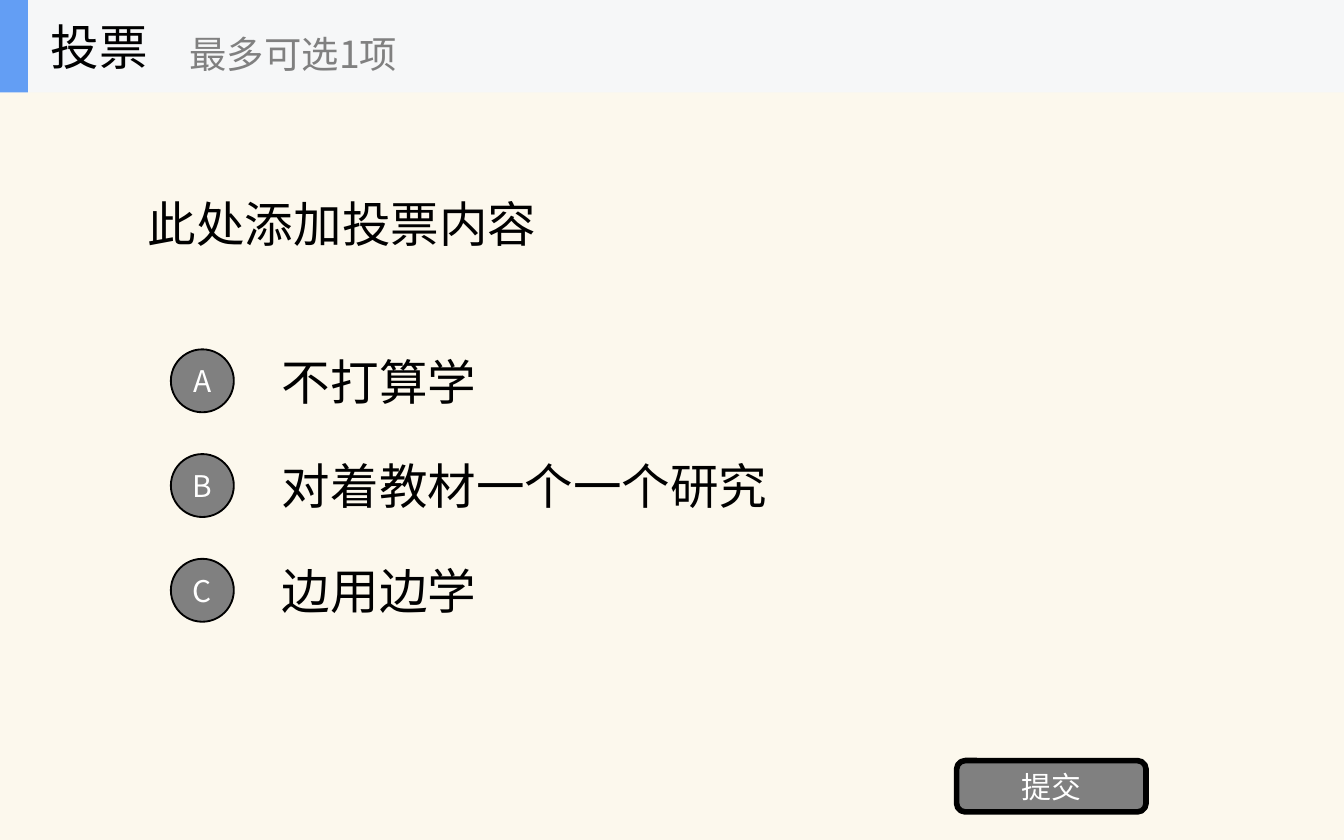
import pptx
import pptx.util
import pptx.dml.color
import pptx.enum.shapes
import pptx.enum.text
import pptx.oxml
import pptx.oxml.ns

Cm = pptx.util.Cm
Pt = pptx.util.Pt
SHAPES = pptx.enum.shapes.MSO_SHAPE
ALIGN = pptx.enum.text.PP_ALIGN

FONT = "Noto Sans CJK SC"
COLORS = {
    "page": "FCF8ED",
    "band": "F6F7F8",
    "accent": "639EF4",
    "control": "808080",
    "ink": "000000",
    "light": "FFFFFF",
}
OPTIONS = ["不打算学", "对着教材一个一个研究", "边用边学"]


def color(name):
    return pptx.dml.color.RGBColor.from_string(COLORS[name])


def write(holder, text, size, ink, align=ALIGN.LEFT):
    frame = holder.text_frame
    frame.word_wrap = True
    frame.auto_size = pptx.enum.text.MSO_AUTO_SIZE.NONE
    frame.vertical_anchor = pptx.enum.text.MSO_ANCHOR.MIDDLE
    paragraph = frame.paragraphs[0]
    paragraph.alignment = align
    run = paragraph.add_run()
    run.text = text
    run.font.size = Pt(size)
    run.font.color.rgb = color(ink)
    run.font.name = FONT
    # The East Asian typeface has no public property
    east_asian = pptx.oxml.parse_xml(
        f'<a:ea {pptx.oxml.ns.nsdecls("a")} typeface="{FONT}"/>')
    run.font._element.find(pptx.oxml.ns.qn("a:latin")).addnext(east_asian)


def add_label(shapes, box, text, size, ink="ink"):
    label = shapes.add_textbox(*map(Cm, box))
    write(label, text, size, ink)


def add_block(shapes, preset, box, fill, line_width=0):
    block = shapes.add_shape(preset, *map(Cm, box))
    block.shadow.inherit = False
    block.fill.solid()
    block.fill.fore_color.rgb = color(fill)
    if line_width:
        block.line.color.rgb = color("ink")
        block.line.width = Pt(line_width)
    else:
        block.line.fill.background()
    return block


def add_control(shapes, preset, box, text, line_width):
    """Grey clickable shape with centred light text."""
    control = add_block(shapes, preset, box, "control", line_width)
    frame = control.text_frame
    frame.margin_left = frame.margin_right = 0
    frame.margin_top = frame.margin_bottom = 0
    write(control, text, 16, "light", ALIGN.CENTER)


def place_question(slide, box):
    question = slide.shapes.title
    question.left, question.top, question.width, question.height = map(Cm, box)
    write(question, "此处添加投票内容", 26, "ink")


def add_options(shapes, box):
    """Rows of a lettered circle and its answer, spread evenly over the box."""
    left, top, width, height = box
    row_height, circle, indent = 1.5, 1.19, 1.85
    pitch = (height - row_height) / (len(OPTIONS) - 1)
    for index, answer in enumerate(OPTIONS):
        row_top = top + index * pitch
        add_label(shapes, (left + indent, row_top, width - indent, row_height),
                  answer, 26)
        add_control(shapes, SHAPES.OVAL,
                    (left, row_top + (row_height - circle) / 2, circle, circle),
                    "ABC"[index], 1)


def add_header(shapes, box):
    left, top, width, height = box
    header = shapes.add_group_shape().shapes
    add_block(header, SHAPES.RECTANGLE, box, "band")
    add_block(header, SHAPES.RECTANGLE, (left, top, 0.53, height), "accent")
    add_label(header, (left + 0.71, top, 5.28, height), "投票", 26)
    add_label(header, (left + 3.33, top + 0.31, 6.35, 1.42),
              "最多可选1项", 20, "control")


def main():
    deck = pptx.Presentation()
    deck.slide_width, deck.slide_height = Cm(25.4), Cm(15.88)
    slide = deck.slides.add_slide(deck.slide_layouts.get_by_name("Title Only"))
    slide.background.fill.solid()
    slide.background.fill.fore_color.rgb = color("page")

    place_question(slide, (2.54, 1.75, 20.32, 4.95))
    add_options(slide.shapes, (3.23, 6.45, 19.63, 5.46))
    add_control(slide.shapes, SHAPES.ROUNDED_RECTANGLE,
                (18.08, 14.38, 3.58, 0.97), "提交", 3)
    add_header(slide.shapes, (0, 0, 25.4, 1.75))
    deck.save("out.pptx")


if __name__ == "__main__":
    main()
